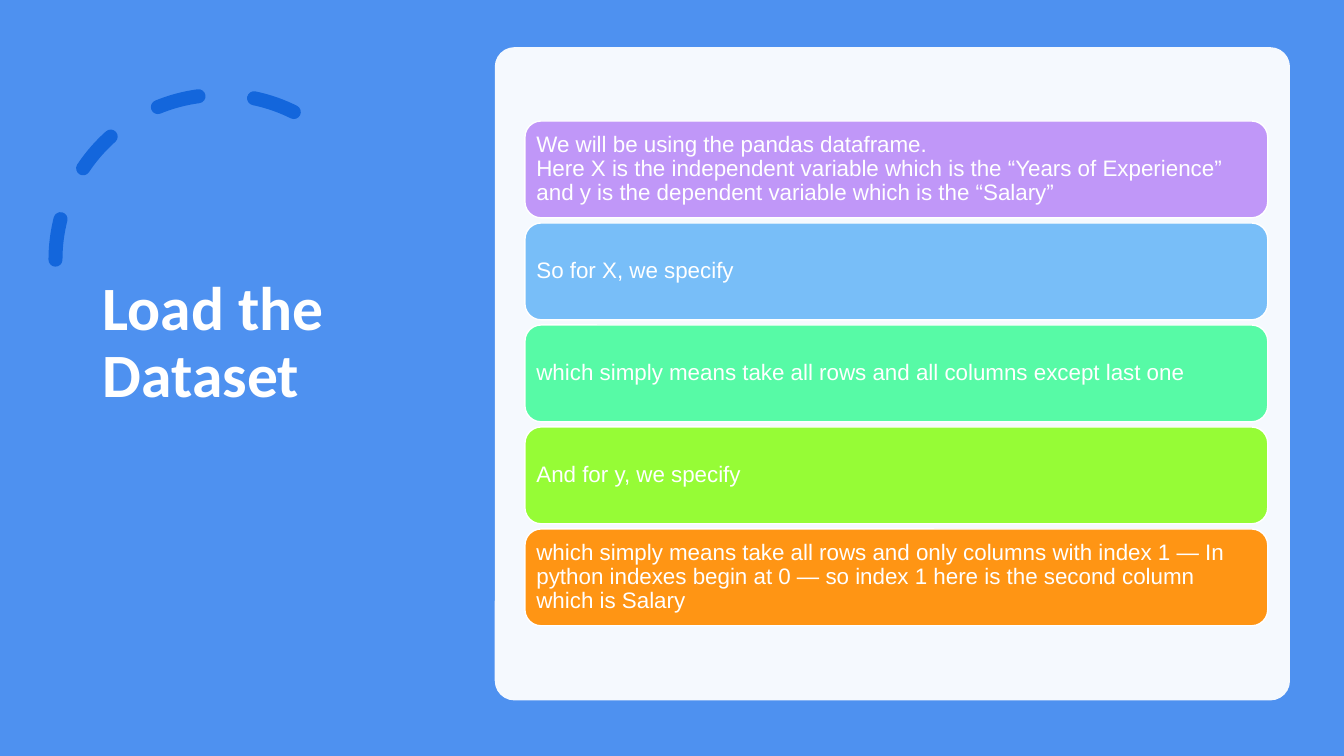
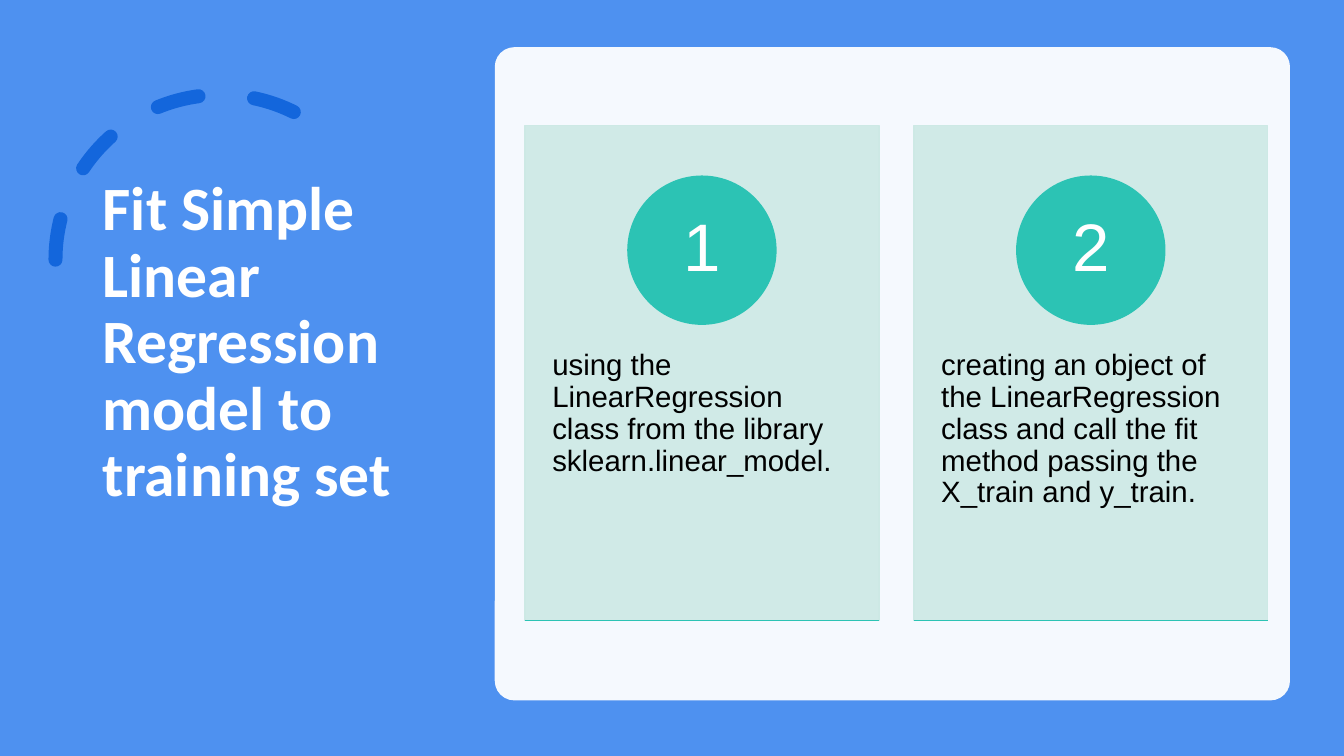
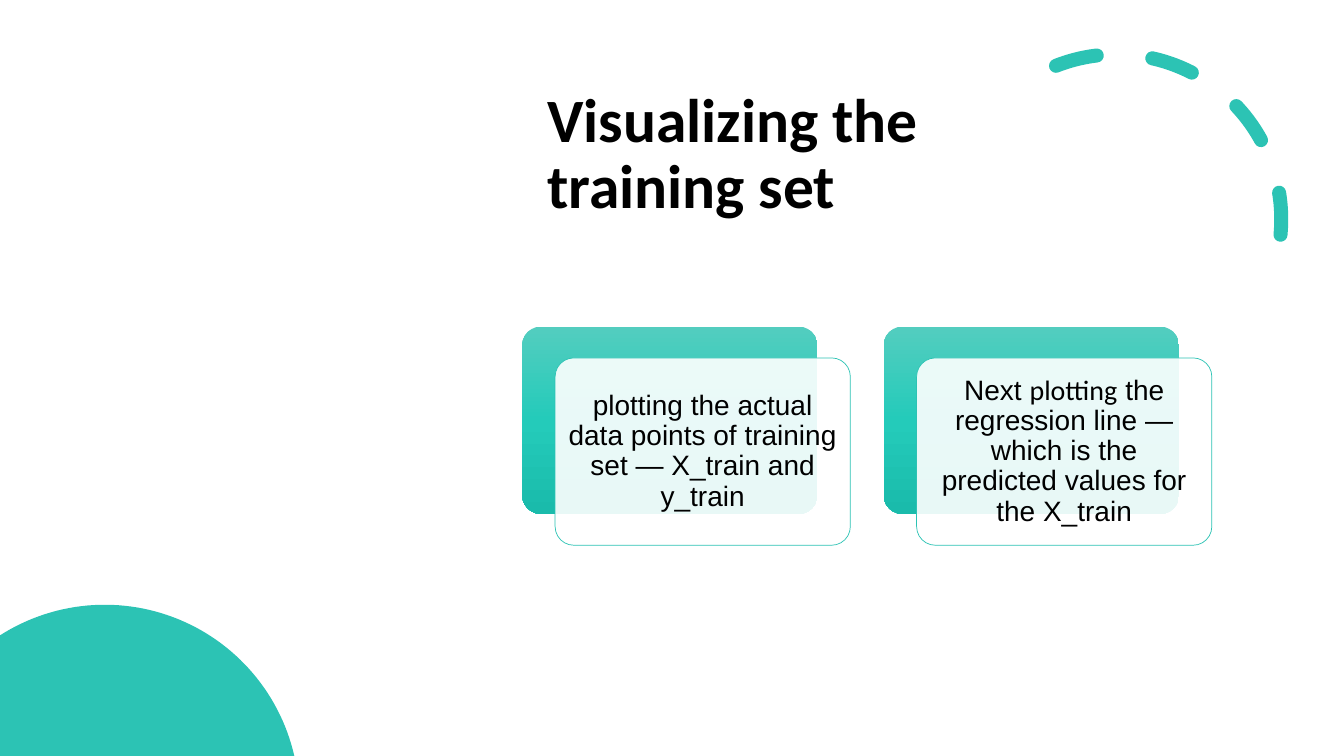
from math import acos, asin, cos, pi, sin

from lxml.etree import SubElement
from pptx import Presentation
from pptx.dml.color import RGBColor
from pptx.enum.dml import MSO_LINE
from pptx.enum.shapes import MSO_CONNECTOR, MSO_SHAPE as Shape
from pptx.enum.text import MSO_ANCHOR as Anchor, PP_ALIGN as Align
from pptx.oxml import parse_xml
from pptx.oxml.ns import nsdecls, qn
from pptx.util import Cm, Pt

# Shared look
WIDTH, HEIGHT = 33.87, 19.05
BLUE, DARK_BLUE, TEAL, MINT = "4E91F0", "1366DC", "2CC3B4", "CDE9E5"
WHITE, BLACK = "FFFFFF", "000000"
CARD_GRADIENT = [(0, "53CDBF"), (50, "24CBBA"), (100, "1ABBAB")]
HEADING_FONT, BODY_FONT = "Calibri", "Arial"
LEFT_TITLE = (2.34, 0.93, 8.2, 15.47)
CONTENT_LEFT = 13.23

# Wording
ROWS = [
    ("C097F8", "We will be using the pandas dataframe.\n"
               "Here X is the independent variable which is the “Years of Experience”\n"
               "and y is the dependent variable which is the “Salary”"),
    ("78BEF8", "So for X, we specify"),
    ("57FAA6", "which simply means take all rows and all columns except last one"),
    ("96FC36", "And for y, we specify"),
    ("FF9514", "which simply means take all rows and only columns with index 1 — In "
               "python indexes begin at 0 — so index 1 here is the second column "
               "which is Salary"),
]
STEPS = [
    "using the LinearRegression class from the library sklearn.linear_model.",
    "creating an object of the LinearRegression class and call the fit method "
    "passing the X_train and y_train.",
]
PLOTS = [
    [("plotting the actual data points of training set — X_train and y_train", BODY_FONT)],
    [("Next\u00a0", BODY_FONT), ("plotting", HEADING_FONT),
     (" the regression line — which is the predicted values for the X_train", BODY_FONT)],
]


def color(code):
    return RGBColor.from_string(code)


def set_alpha(fill_format, percent, parent):
    """Make the solid fill found directly under parent partly transparent."""
    tone = parent.find(qn("a:solidFill")).find(qn("a:srgbClr"))
    SubElement(tone, qn("a:alpha")).set("val", str(percent * 1000))


def fill_gradient(shape, stops):
    """Fill from top to bottom with (percent, colour) stops."""
    shape.fill.background()
    marks = "".join(f'<a:gs pos="{percent * 1000}"><a:srgbClr val="{code}"/></a:gs>'
                    for percent, code in stops)
    gradient = parse_xml(f'<a:gradFill {nsdecls("a")}><a:gsLst>{marks}</a:gsLst>'
                         '<a:lin ang="5400000" scaled="0"/></a:gradFill>')
    properties = shape.element.spPr
    properties.replace(properties.find(qn("a:noFill")), gradient)


def paint(shape, fill=None, line=None, line_width=1, alpha=None):
    shape.shadow.inherit = False
    if fill:
        shape.fill.solid()
        shape.fill.fore_color.rgb = color(fill)
        if alpha:
            set_alpha(shape.fill, alpha, shape.element.spPr)
    else:
        shape.fill.background()
    if line:
        shape.line.color.rgb = color(line)
        shape.line.width = Pt(line_width)
    else:
        shape.line.fill.background()


def add_box(page, kind, left, top, width, height, corner=None, **look):
    box = page.shapes.add_shape(kind, Cm(left), Cm(top), Cm(width), Cm(height))
    if corner is not None:
        box.adjustments[0] = corner
    paint(box, **look)
    return box


def write(box, text, size, font=BODY_FONT, ink=BLACK, bold=False,
          align=Align.LEFT, anchor=Anchor.MIDDLE, insets=(0.25, 0.13, 0.25, 0.13)):
    """Write a string (one paragraph a line) or a list of (text, font) spans."""
    frame = box.text_frame
    frame.word_wrap = True
    frame.vertical_anchor = anchor
    frame.margin_left, frame.margin_top, frame.margin_right, frame.margin_bottom = map(Cm, insets)
    if isinstance(text, str):
        lines = [[(line, font)] for line in text.split("\n")]
    else:
        lines = [text]
    for index, spans in enumerate(lines):
        para = frame.add_paragraph() if index else frame.paragraphs[0]
        para.alignment = align
        para.line_spacing = 0.9
        for words, face in spans:
            span = para.add_run()
            span.text = words
            span.font.name = face
            span.font.size = Pt(size)
            span.font.bold = bold
            span.font.color.rgb = color(ink)


def add_title(page, text, place, ink):
    box = page.shapes.add_textbox(*map(Cm, place))
    write(box, text, 44, font=HEADING_FONT, ink=ink, bold=True)


def add_dashed_arc(page, left, top, ink, start, rotation=0):
    arc = add_box(page, Shape.ARC, left, top, 8.31, 8.31, line=ink, line_width=10)
    arc.adjustments[0] = start
    arc.adjustments[1] = 0
    arc.rotation = rotation
    arc.line.dash_style = MSO_LINE.DASH
    arc.element.spPr.find(qn("a:ln")).set("cap", "rnd")
    arc.element.spPr.find(qn("a:xfrm")).set("flipH", "1")


def add_rule(page, left, top, width, ink):
    rule = page.shapes.add_connector(MSO_CONNECTOR.STRAIGHT, Cm(left), Cm(top),
                                     Cm(left + width), Cm(top))
    rule.line.color.rgb = color(ink)
    rule.line.width = Pt(0.5)
    SubElement(rule.element.spPr, qn("a:effectLst"))


def add_corner_disc(page, center_x, center_y, radius, segments=60):
    """Draw the part of a disc that lies inside the bottom left corner."""
    start = acos(-center_x / radius)
    end = asin((center_y - HEIGHT) / radius)
    angles = [start + (end - start) * step / segments for step in range(segments + 1)]
    points = [(Cm(center_x + radius * cos(angle)), Cm(center_y - radius * sin(angle)))
              for angle in angles]
    outline = page.shapes.build_freeform(Cm(0), Cm(HEIGHT))
    outline.add_line_segments(points, close=True)
    paint(outline.convert_to_shape(), fill=TEAL)


def add_page(deck, background):
    page = deck.slides.add_slide(deck.slide_layouts[6])
    page.background.fill.solid()
    page.background.fill.fore_color.rgb = color(background)
    return page


def add_panel_page(deck, title):
    """Blue page with the title on the left and a pale panel on the right."""
    page = add_page(deck, BLUE)
    add_dashed_arc(page, 1.4, 2.39, DARK_BLUE, start=146.13)
    add_title(page, title, LEFT_TITLE, WHITE)
    add_box(page, Shape.ROUNDED_RECTANGLE, 12.47, 1.19, 20.04, 16.46,
            corner=0.03, fill=WHITE, alpha=95)
    return page


def add_rows(page):
    for index, (tone, text) in enumerate(ROWS):
        row = add_box(page, Shape.ROUNDED_RECTANGLE, CONTENT_LEFT, 3.05 + 2.57 * index,
                      18.72, 2.44, fill=tone, line=WHITE)
        write(row, text, 16, ink=WHITE, insets=(0.17,) * 4)


def add_step_cards(page):
    top, width, height, disc_size = 3.17, 8.92, 12.47, 3.73
    for index, text in enumerate(STEPS):
        left = CONTENT_LEFT + 9.8 * index
        card = add_box(page, Shape.RECTANGLE, left, top, width, height,
                       fill=MINT, line=MINT, alpha=90)
        write(card, text, 21, anchor=Anchor.TOP, insets=(0.69, 5.66, 0.69, 0.91))
        disc = add_box(page, Shape.OVAL, left + (width - disc_size) / 2, top + 1.27,
                       disc_size, disc_size, fill=TEAL, line=TEAL)
        write(disc, str(index + 1), 48, ink=WHITE, align=Align.CENTER,
              insets=(0.28, 0.03, 0.28, 0.03))
        add_rule(page, left, top + height, width, TEAL)


def add_plot_cards(page):
    top, width, height = 8.23, 7.44, 4.72
    for index, spans in enumerate(PLOTS):
        left = 13.16 + 9.11 * index
        back = add_box(page, Shape.ROUNDED_RECTANGLE, left, top, width, height, corner=0.1)
        fill_gradient(back, CARD_GRADIENT)
        front = add_box(page, Shape.ROUNDED_RECTANGLE, left + 0.83, top + 0.79, width, height,
                        corner=0.1, fill=WHITE, alpha=90, line=TEAL, line_width=0.5)
        write(front, spans, 20, align=Align.CENTER, insets=(0.2,) * 4)


def main():
    deck = Presentation()
    deck.slide_width, deck.slide_height = Cm(WIDTH), Cm(HEIGHT)

    # Loading the data
    add_rows(add_panel_page(deck, "Load the Dataset"))

    # Fitting the model
    add_step_cards(add_panel_page(deck, "Fit Simple Linear Regression model to training set"))

    # Plotting the training set
    page = add_page(deck, WHITE)
    add_dashed_arc(page, 23.98, 1.37, TEAL, start=144.42, rotation=66.1)
    add_title(page, "Visualizing the training set", (13.54, 2.08, 15.16, 3.68), BLACK)
    add_corner_disc(page, 2.64, 20.14, 4.9)
    add_plot_cards(page)

    deck.save("out.pptx")


main()
